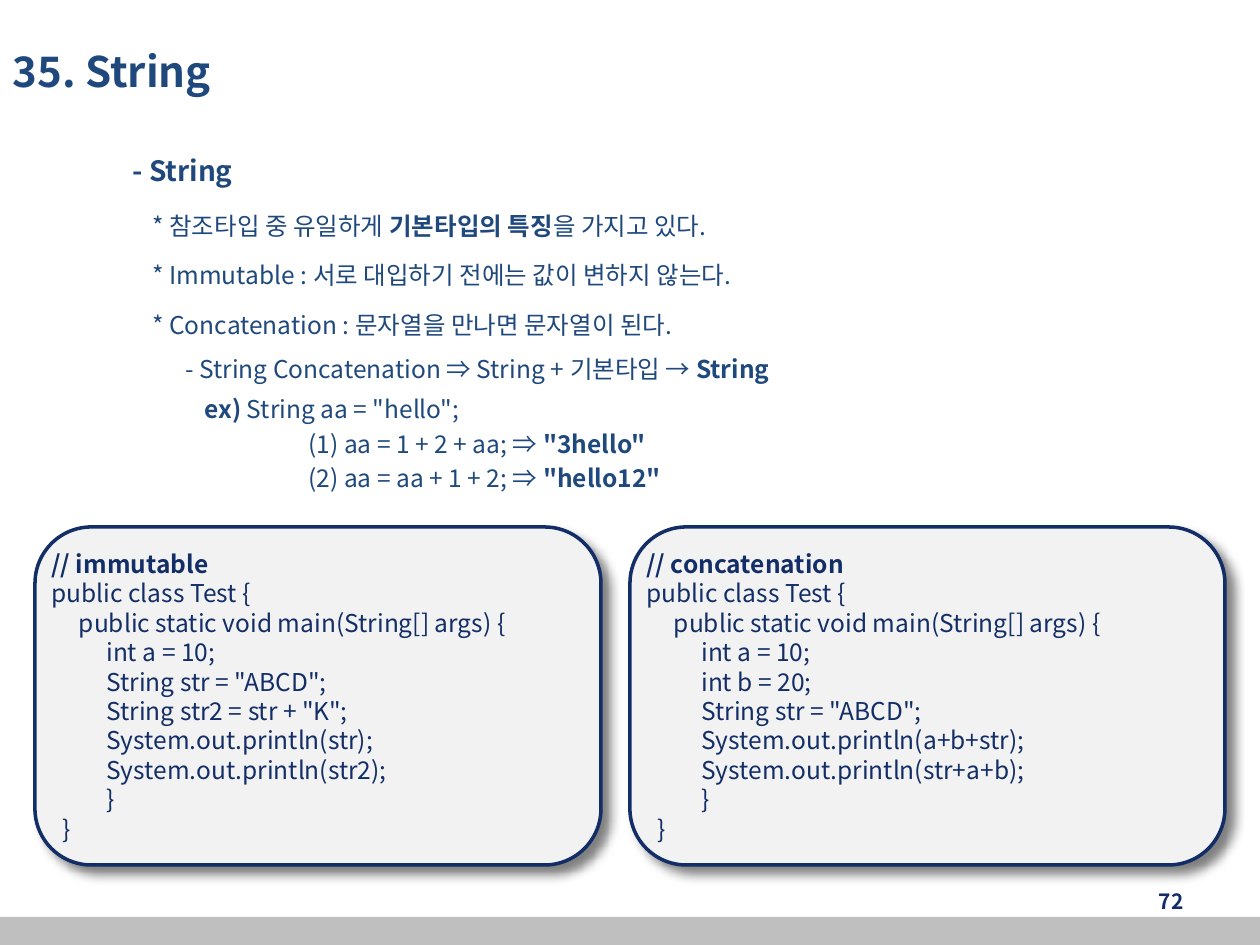
import pptx
import pptx.util
import pptx.dml.color
import pptx.enum.shapes
import pptx.enum.text
import pptx.oxml.ns
from dataclasses import dataclass
from lxml import etree

TITLE = "35. String"
PAGE_NUMBER = "72"

# Each line: indent px, gap above px, type size name, [(text, bold), ...]
NOTES = [
    (13, 0, "heading", [("- String", True)]),
    (33, 24, "body", [("* 참조타입 중 유일하게 ", False), ("기본타입의 특징", True),
                      ("을 가지고 있다.", False)]),
    (33, 20, "body", [("* Immutable : 서로 대입하기 전에는 값이 변하지 않는다.", False)]),
    (33, 20, "body", [("* Concatenation : 문자열을 만나면 문자열이 된다.", False)]),
    (66, 15, "body", [("- String Concatenation ⇒ String + 기본타입 → ", False), ("String", True)]),
    (85, 11, "body", [("ex) ", True), ('String aa = "hello";', False)]),
    (189, 5, "body", [("(1) aa = 1 + 2 + aa; ⇒ ", False), ('"3hello"', True)]),
    (189, 5, "body", [("(2) aa = aa + 1 + 2; ⇒ ", False), ('"hello12"', True)]),
]

CODE_HEAD = ["public class Test {", "     public static void main(String[] args) {"]
CODE_TAIL = ["          }", "  }"]
# Each panel: left px, width px, comment, statements inside main
PANELS = [
    (35, 566, "// immutable",
     ["int a = 10;", 'String str = "ABCD";', 'String str2 = str + "K";',
      "System.out.println(str);", "System.out.println(str2);"]),
    (630, 595, "// concatenation",
     ["int a = 10;", "int b = 20;", 'String str = "ABCD";',
      "System.out.println(a+b+str);", "System.out.println(str+a+b);"]),
]
PANEL_TOP, PANEL_HEIGHT = 527, 338


@dataclass
class Theme:
    font = "Noto Sans CJK KR"
    blue = "1F497D"
    navy = "132E66"
    panel = "F2F2F2"
    footer = "BFBFBF"
    title = 24
    heading = 16
    body = 14
    number = 12
    leading = 1.2


theme = Theme()
SHAPES = pptx.enum.shapes.MSO_SHAPE
ANCHOR = pptx.enum.text.MSO_ANCHOR
ALIGN = pptx.enum.text.PP_ALIGN


def px(count):
    return pptx.util.Emu(round(count * 914400 / 126))


def rgb(value):
    return pptx.dml.color.RGBColor.from_string(value)


def place(shape, left, top, width, height):
    shape.left, shape.top, shape.width, shape.height = map(px, (left, top, width, height))


def add_span(para, text, size, color, bold):
    span = para.add_run()
    span.text = text
    span.font.size = pptx.util.Pt(size)
    span.font.bold = bold
    span.font.color.rgb = rgb(color)
    span.font.name = theme.font
    properties = span.font._element
    etree.SubElement(properties, pptx.oxml.ns.qn("a:ea"), typeface=theme.font)


def next_para(frame, index):
    return frame.add_paragraph() if index else frame.paragraphs[0]


def add_box(page, left, top, width, height):
    box = page.shapes.add_textbox(*map(px, (left, top, width, height)))
    box.text_frame.word_wrap = True
    return box.text_frame


def add_block(page, kind, bounds, fill):
    block = page.shapes.add_shape(kind, *map(px, bounds))
    block.shadow.inherit = False
    block.fill.solid()
    block.fill.fore_color.rgb = rgb(fill)
    block.line.fill.background()
    return block


def add_shadow(shape):
    """Drop a half-transparent black shadow to the lower right."""
    effects = shape._element.spPr.find(pptx.oxml.ns.qn("a:effectLst"))
    distance = str(pptx.util.Pt(6))
    shadow = etree.SubElement(effects, pptx.oxml.ns.qn("a:outerShdw"), blurRad=distance,
                              dist=distance, dir="2700000", algn="tl", rotWithShape="0")
    color = etree.SubElement(shadow, pptx.oxml.ns.qn("a:srgbClr"), val="000000")
    etree.SubElement(color, pptx.oxml.ns.qn("a:alpha"), val="50000")


def add_title(page):
    title = page.shapes.title
    place(title, 0, 16, 903, 110)
    frame = title.text_frame
    frame.vertical_anchor = ANCHOR.MIDDLE
    frame.paragraphs[0].alignment = ALIGN.LEFT
    add_span(frame.paragraphs[0], TITLE, theme.title, theme.blue, True)


def add_notes(page):
    frame = add_box(page, 107, 147, 1153, 402)
    for index, (indent, gap, level, spans) in enumerate(NOTES):
        size = getattr(theme, level)
        para = next_para(frame, index)
        para._p.get_or_add_pPr().set("marL", str(px(indent)))
        para.line_spacing = pptx.util.Pt(size * theme.leading)
        if gap:
            para.space_before = px(gap)
        for text, bold in spans:
            add_span(para, text, size, theme.blue, bold)


def add_panel(page, left, width, comment, statements):
    panel = add_block(page, SHAPES.ROUNDED_RECTANGLE,
                      (left, PANEL_TOP, width, PANEL_HEIGHT), theme.panel)
    panel.line.color.rgb = rgb(theme.navy)
    panel.line.width = pptx.util.Pt(2)
    add_shadow(panel)
    frame = panel.text_frame
    frame.word_wrap = True
    frame.vertical_anchor = ANCHOR.MIDDLE
    frame.margin_left = frame.margin_right = 0
    frame.margin_top = frame.margin_bottom = px(6)
    body = [" " * 10 + statement for statement in statements]
    for index, line in enumerate([comment] + CODE_HEAD + body + CODE_TAIL):
        para = next_para(frame, index)
        para.alignment = ALIGN.LEFT
        para.line_spacing = pptx.util.Pt(theme.body * theme.leading)
        add_span(para, line, theme.body, theme.navy, index == 0)


def add_footer(page):
    add_block(page, SHAPES.RECTANGLE, (0, 917, 1260, 28), theme.footer)
    frame = add_box(page, 903, 876, 293, 50)
    frame.vertical_anchor = ANCHOR.MIDDLE
    frame.paragraphs[0].alignment = ALIGN.RIGHT
    add_span(frame.paragraphs[0], PAGE_NUMBER, theme.number, theme.navy, True)


def main():
    deck = pptx.Presentation()
    deck.slide_width, deck.slide_height = px(1260), px(945)
    page = deck.slides.add_slide(deck.slide_layouts[5])
    add_title(page)
    add_notes(page)
    add_footer(page)
    for panel in PANELS:
        add_panel(page, *panel)
    deck.save("out.pptx")


if __name__ == "__main__":
    main()
